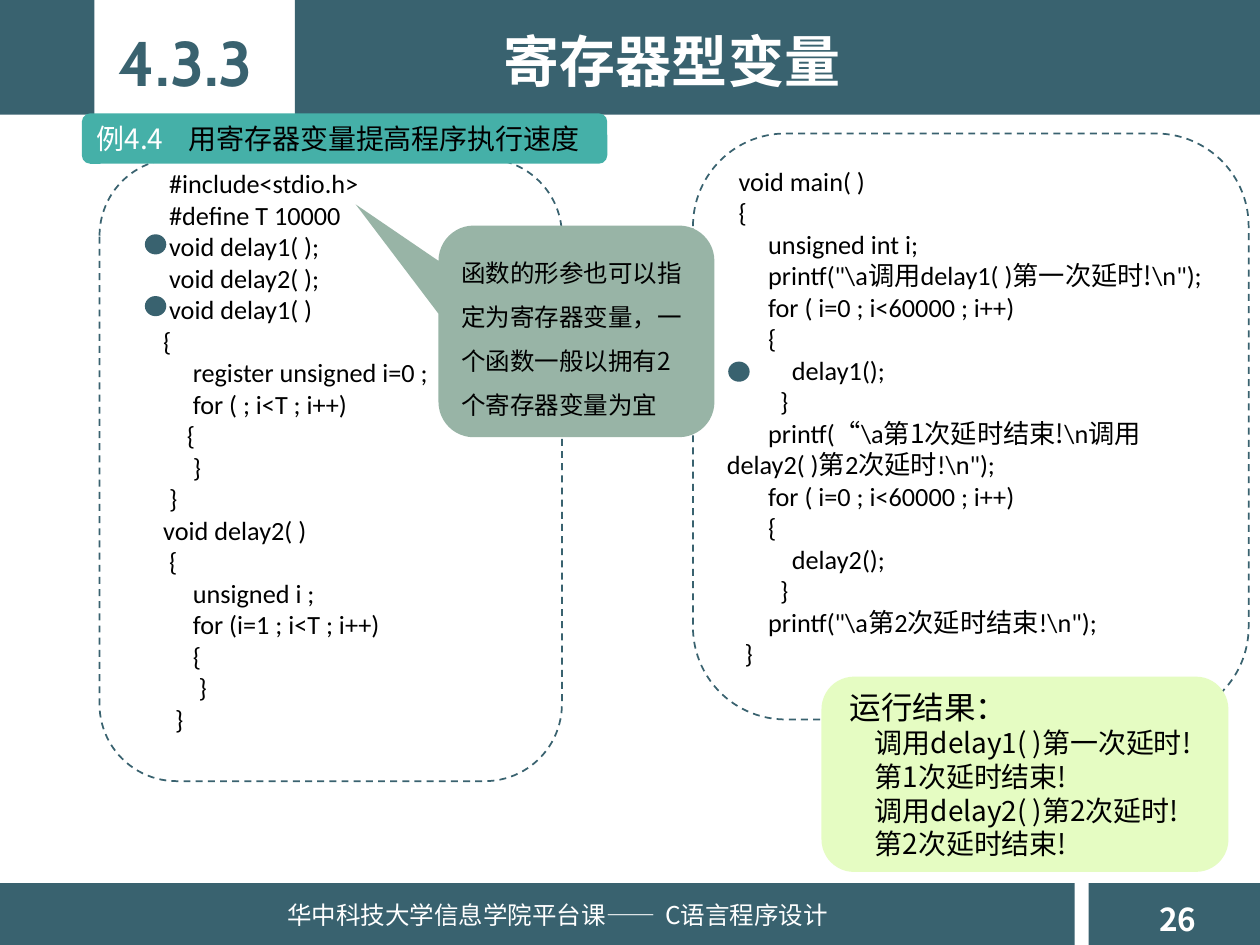
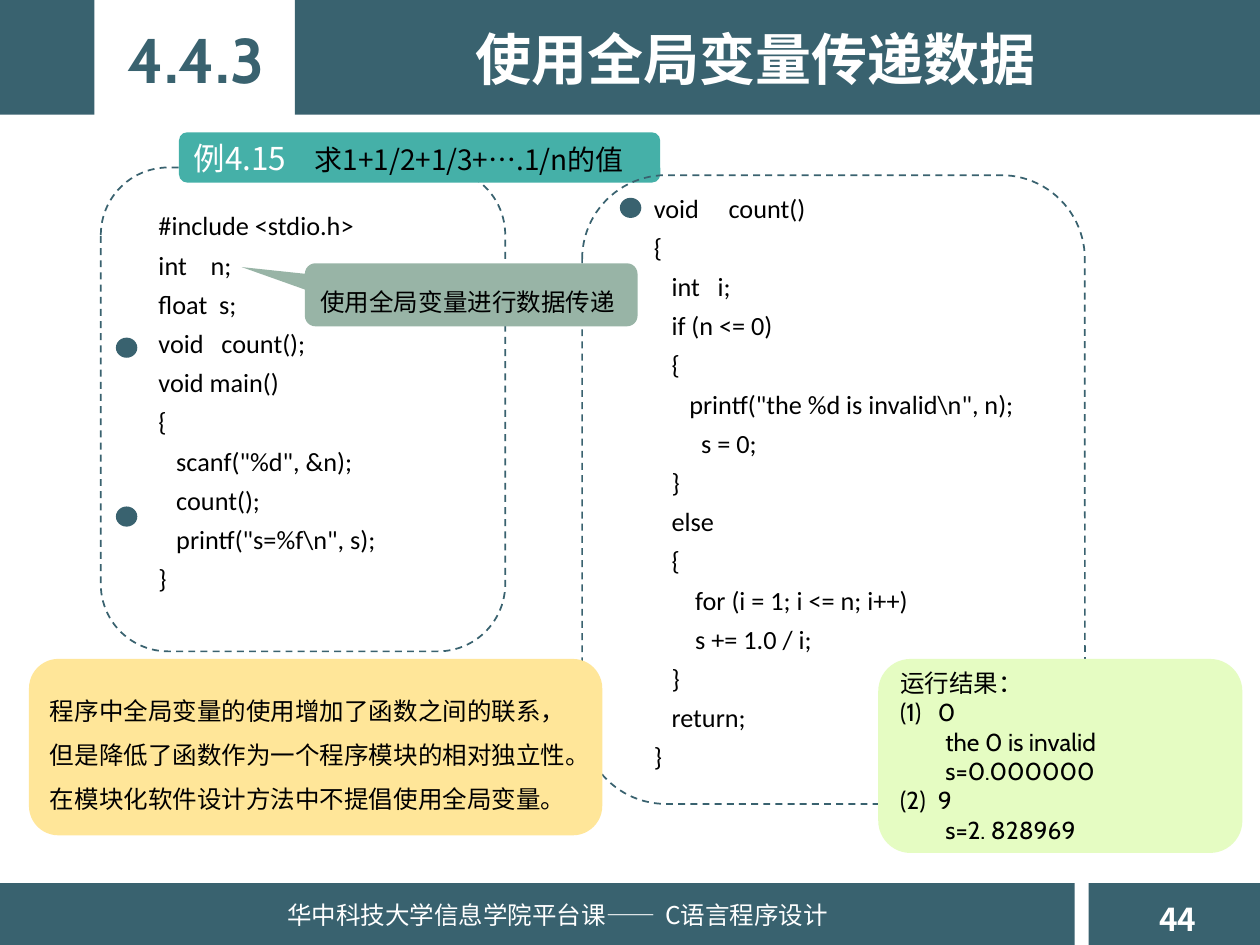
from dataclasses import dataclass

from lxml import etree
from pptx import Presentation
from pptx.dml.color import RGBColor
from pptx.enum.dml import MSO_LINE
from pptx.enum.shapes import MSO_SHAPE
from pptx.enum.text import MSO_ANCHOR, MSO_AUTO_SIZE, PP_ALIGN
from pptx.oxml.ns import qn
from pptx.util import Inches, Pt

RECT = MSO_SHAPE.RECTANGLE
ROUNDED = MSO_SHAPE.ROUNDED_RECTANGLE
OVAL = MSO_SHAPE.OVAL
CALLOUT = MSO_SHAPE.ROUNDED_RECTANGULAR_CALLOUT
DASH = MSO_LINE.DASH
TOP, MIDDLE = MSO_ANCHOR.TOP, MSO_ANCHOR.MIDDLE
LEFT, CENTER = PP_ALIGN.LEFT, PP_ALIGN.CENTER
NO_AUTOFIT = MSO_AUTO_SIZE.NONE


@dataclass(frozen=True)
class Theme:
    slate: str = "39626F"
    teal: str = "45B0A8"
    sage: str = "98B4A6"
    lime: str = "E5FCC2"
    amber: str = "FFE699"
    white: str = "FFFFFF"
    black: str = "000000"
    cjk: str = "Noto Sans CJK SC"
    code: str = "Calibri"
    accent: str = "Cabin"
    number_size: int = 36
    title_size: int = 32
    large_size: int = 18
    topic_size: int = 16
    code_size: int = 15
    note_size: int = 14


THEME = Theme()

DELAY_FUNCTIONS = r"""  #include<stdio.h>
  #define T 10000
  void delay1( );
  void delay2( );
  void delay1( )
 {
      register unsigned i=0 ;
      for ( ; i<T ; i++)
     {
      }
  }
 void delay2( )
  {
      unsigned i ;
      for (i=1 ; i<T ; i++)
      {
       }
   }""".split("\n")

# A list is one line whose parts differ in format.
DELAY_MAIN = [
    "  void main( )",
    "  {",
    "       unsigned int i;",
    ['       printf("\\a调用delay1( )', ("第一次延时!", {"font": THEME.cjk}), '\\n");'],
    "       for ( i=0 ; i<60000 ; i++)",
    "       {",
    "           delay1();",
    "         }",
    ["       printf(“\\a", ("第1次延时结束!", {"font": THEME.cjk}),
     '\\n调用delay2( )第2次延时!\\n");'],
    "       for ( i=0 ; i<60000 ; i++)",
    "       {",
    "           delay2();",
    "         }",
    '       printf("\\a第2次延时结束!\\n");',
    "   }",
]

SUM_MAIN = r"""#include <stdio.h>
int    n;
float  s;
void   count();
void main()
{
   scanf("%d", &n);
   count();
   printf("s=%f\n", s);
}""".split("\n")

SUM_COUNT = r"""void     count()
{
   int   i;
   if (n <= 0)
   {
      printf("the %d is invalid\n", n);
        s = 0;
   }
   else
   {
       for (i = 1; i <= n; i++)
       s += 1.0 / i;
   }
   return;
}""".split("\n")


def color(value):
    return RGBColor.from_string(value)


def format_run(run, size, font, ink, bold):
    run.font.size = Pt(size)
    run.font.bold = bold
    run.font.color.rgb = color(ink)
    run.font.name = font
    east_asian = etree.SubElement(run.font._element, qn("a:ea")) if hasattr(
        run.font, "_element") else etree.SubElement(run._r.get_or_add_rPr(), qn("a:ea"))
    east_asian.set("typeface", THEME.cjk)


def write_text(frame, lines, *, size=THEME.note_size, font=THEME.cjk, ink=THEME.black,
               bold=False, align=LEFT, anchor=TOP, spacing=None, before=0,
               indents=None, wrap=True):
    """Fill a frame; indents holds one (left, first line) pair in inches per line."""
    frame.word_wrap = wrap
    frame.auto_size = NO_AUTOFIT
    frame.vertical_anchor = anchor
    for index, line in enumerate(lines):
        paragraph = frame.paragraphs[0] if index == 0 else frame.add_paragraph()
        paragraph.alignment = align
        paragraph.space_before = Pt(before if index else 0)
        if spacing:
            paragraph.line_spacing = spacing
        if indents:
            left, first = indents[index]
            properties = paragraph._p.get_or_add_pPr()
            properties.set("marL", str(Inches(left)))
            properties.set("indent", str(Inches(first)))
        for part in [line] if isinstance(line, str) else line:
            text, changes = (part, {}) if isinstance(part, str) else part
            run = paragraph.add_run()
            run.text = text
            style = {"size": size, "font": font, "ink": ink, "bold": bold}
            format_run(run, **{**style, **changes})


def add_text(slide, box, lines, **style):
    textbox = slide.shapes.add_textbox(*map(Inches, box))
    write_text(textbox.text_frame, lines, **style)


def add_block(slide, kind, box, fill=None):
    block = slide.shapes.add_shape(kind, *map(Inches, box))
    block.shadow.inherit = False
    if fill:
        block.fill.solid()
        block.fill.fore_color.rgb = color(fill)
    else:
        block.fill.background()
    block.line.fill.background()
    return block


def add_note(slide, box, fill, lines, **style):
    note = add_block(slide, ROUNDED, box, fill)
    write_text(note.text_frame, lines, anchor=MIDDLE, **style)
    return note


def add_code_panel(slide, box):
    panel = add_block(slide, ROUNDED, box)
    panel.line.color.rgb = color(THEME.slate)
    panel.line.width = Pt(1)
    panel.line.dash_style = DASH


def add_code(slide, box, lines, **style):
    add_text(slide, box, lines, size=THEME.code_size, font=THEME.code, **style)


def add_callout(slide, box, pointer, text):
    callout = add_block(slide, CALLOUT, box, THEME.sage)
    callout.adjustments[0], callout.adjustments[1] = pointer
    write_text(callout.text_frame, [text], anchor=MIDDLE, spacing=1.5)


def add_example_banner(slide, box, label, label_size, topic, topic_offset):
    parts = [(label + "\t", {"ink": THEME.white, "size": label_size}), topic]
    add_note(slide, box, THEME.teal, [parts], size=THEME.topic_size,
             indents=[(topic_offset, -topic_offset)])


def add_markers(slide, positions):
    for left, top in positions:
        add_block(slide, OVAL, (left, top, 0.17, 0.16), THEME.slate)


def start_slide(deck, page, section, section_box, title, title_box):
    """Add a slide with the course bands, footer, section number and title."""
    slide = deck.slides.add_slide(deck.slide_layouts[5])
    for band in ((0, 0, 0.75, 0.91), (2.34, 0, 7.66, 0.91),
                 (0, 7.01, 8.53, 0.49), (8.64, 7.01, 1.36, 0.49)):
        add_block(slide, RECT, band, THEME.slate)
    add_text(slide, (9.1, 7.09, 0.55, 0.4), [page], size=THEME.large_size,
             ink=THEME.white, bold=True, wrap=False)
    add_text(slide, (2.18, 7.09, 4.54, 0.34), ["华中科技大学信息学院平台课——\tC语言程序设计"],
             ink=THEME.white, wrap=False)
    add_text(slide, section_box, [section], size=THEME.number_size, font=THEME.accent,
             ink=THEME.slate, bold=True, align=CENTER)
    heading = slide.shapes.title
    heading.left, heading.top, heading.width, heading.height = map(Inches, title_box)
    write_text(heading.text_frame, [title], size=THEME.title_size, ink=THEME.white,
               bold=True, align=CENTER, anchor=MIDDLE)
    heading.element.getparent().append(heading.element)  # above the bands
    return slide


def build_register_slide(deck):
    slide = start_slide(deck, "26", "4.3.3", (0.81, 0.14, 1.33, 0.73),
                        "寄存器型变量", (3.16, 0.14, 4.35, 0.67))
    add_code_panel(slide, (0.79, 1.26, 3.67, 4.94))
    add_code(slide, (1.15, 1.28, 4.09, 5.1), DELAY_FUNCTIONS)
    add_code_panel(slide, (5.5, 1.06, 4.41, 4.65))
    add_code(slide, (5.67, 1.26, 4.07, 4.1), DELAY_MAIN)
    results = add_note(
        slide, (6.52, 5.37, 3.23, 1.55), THEME.lime,
        [[("运行结果：", {"size": THEME.large_size})], "调用delay1( )第一次延时!",
         "第1次延时结束!", "调用delay2( )第2次延时!", "第2次延时结束!"],
        size=THEME.topic_size, indents=[(0.05, 0)] + [(0.25, 0)] * 4)
    results.text_frame.margin_right = 0
    add_example_banner(slide, (0.65, 0.9, 4.17, 0.4), "例4.4", THEME.topic_size,
                       "用寄存器变量提高程序执行速度", 0.73)
    add_markers(slide, [(1.15, 1.86), (1.15, 2.35), (5.78, 2.87)])
    add_callout(slide, (3.48, 1.79, 2.19, 1.68), (-0.8, -0.6),
                "函数的形参也可以指定为寄存器变量，一个函数一般以拥有2个寄存器变量为宜")


def build_global_slide(deck):
    slide = start_slide(deck, "44", "4.4.3", (0.88, 0.11, 1.35, 0.71),
                        "使用全局变量传递数据", (2.78, 0.14, 6.44, 0.64))
    add_code_panel(slide, (0.8, 1.33, 3.21, 3.84))
    add_example_banner(slide, (1.42, 1.05, 3.82, 0.4), "例4.15", THEME.large_size,
                       "求1+1/2+1/3+….1/n的值", 0.96)
    add_code(slide, (1.16, 1.59, 2.46, 3.33), SUM_MAIN, spacing=1.1, before=2.6)
    add_code(slide, (5.09, 1.45, 3.41, 4.97), SUM_COUNT, spacing=1.1, before=2.6)
    add_code_panel(slide, (4.62, 1.39, 3.99, 4.99))
    case, output = (0.3, -0.3), (0.36, 0)
    add_note(slide, (6.97, 5.23, 2.89, 1.54), THEME.lime,
             [[("运行结果：", {"font": THEME.cjk})], "(1)\t0", "the 0 is invalid",
              "s=0.000000", "(2)\t9", "s=2. 828969"],
             font=THEME.accent, indents=[(0, 0), case, output, output, case, output])
    add_callout(slide, (2.42, 2.09, 2.64, 0.5), (-0.69, -0.44), "使用全局变量进行数据传递")
    add_note(slide, (0.23, 5.23, 4.55, 1.4), THEME.amber,
             ["程序中全局变量的使用增加了函数之间的联系，但是降低了函数作为一个程序模块的"
              "相对独立性。在模块化软件设计方法中不提倡使用全局变量。"], spacing=1.5)
    add_markers(slide, [(0.92, 4.02), (4.92, 1.57), (0.92, 2.68)])


def main():
    deck = Presentation()
    deck.slide_width, deck.slide_height = Inches(10), Inches(7.5)
    build_register_slide(deck)
    build_global_slide(deck)
    deck.save("out.pptx")


if __name__ == "__main__":
    main()
